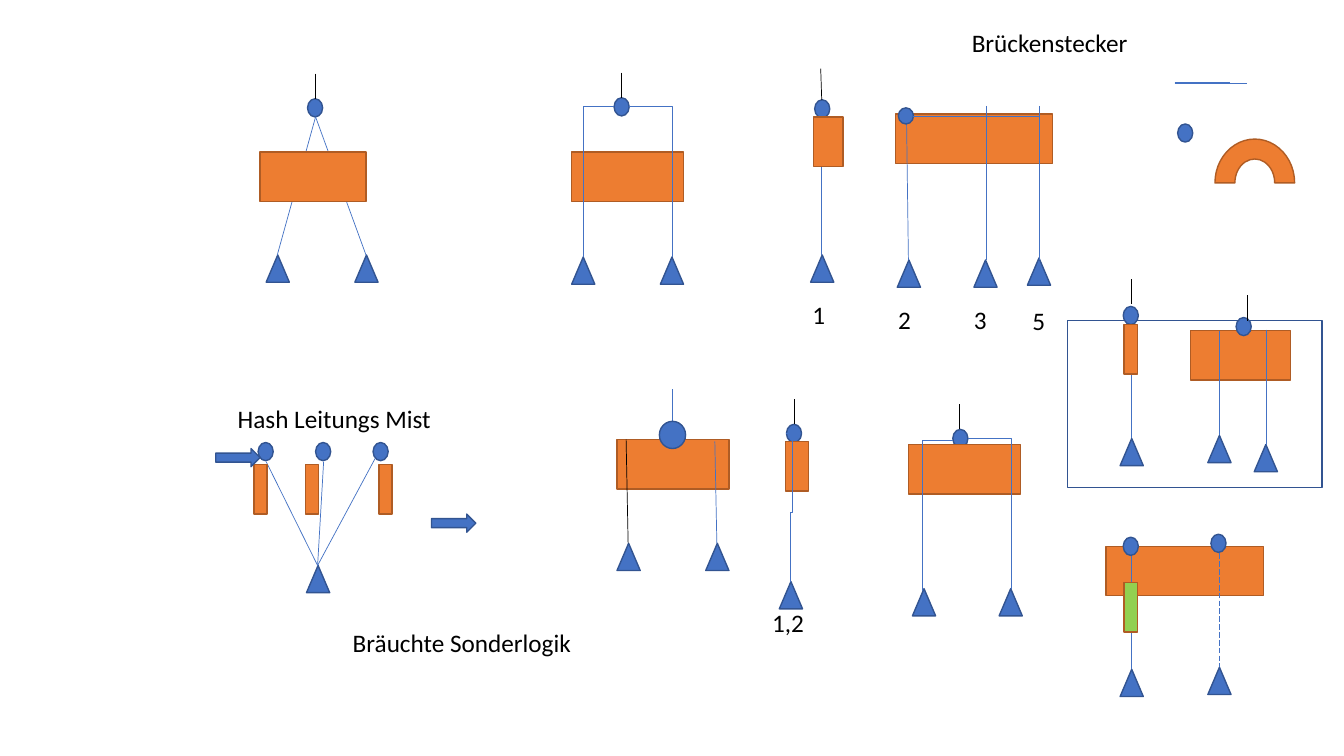
from lxml.etree import SubElement
from pptx import Presentation
from pptx.dml.color import RGBColor
from pptx.enum.dml import MSO_LINE
from pptx.enum.shapes import MSO_CONNECTOR, MSO_SHAPE
from pptx.enum.text import MSO_AUTO_SIZE
from pptx.oxml.ns import qn
from pptx.util import Emu, Pt

EMU_PER_PX = 9144
BLUE = RGBColor(0x44, 0x72, 0xC4)
DARK_BLUE = RGBColor(0x32, 0x54, 0x91)
ORANGE = RGBColor(0xED, 0x7D, 0x31)
DARK_ORANGE = RGBColor(0xAF, 0x5C, 0x24)
GREEN = RGBColor(0x92, 0xD0, 0x50)
BLACK = RGBColor(0, 0, 0)


def px(value):
    return Emu(value * EMU_PER_PX)


class Sketch:
    font_name = "Calibri"
    font_size = Pt(18)
    outline_width = Pt(1)
    wire_width = Pt(0.5)

    def __init__(self, slide):
        self.slide = slide

    def shape(self, kind, x, y, width, height, fill=BLUE, outline=DARK_BLUE):
        shape = self.slide.shapes.add_shape(kind, px(x), px(y), px(width), px(height))
        shape.shadow.inherit = False
        if fill is None:
            shape.fill.background()
        else:
            shape.fill.solid()
            shape.fill.fore_color.rgb = fill
        shape.line.color.rgb = outline
        shape.line.width = self.outline_width
        return shape

    def node(self, x, y, width=15, height=18):
        self.shape(MSO_SHAPE.OVAL, x, y, width, height)

    def load(self, x, y):
        self.shape(MSO_SHAPE.ISOSCELES_TRIANGLE, x, y, 23, 27)

    def block(self, x, y, width, fill=ORANGE):
        self.shape(MSO_SHAPE.RECTANGLE, x, y, width, 49, fill, DARK_ORANGE)

    def arrow(self, x, y):
        self.shape(MSO_SHAPE.RIGHT_ARROW, x, y, 44, 18)

    def wire(self, x1, y1, x2, y2, color=BLUE, kind=MSO_CONNECTOR.STRAIGHT, dash=None, tip=False):
        connector = self.slide.shapes.add_connector(kind, px(x1), px(y1), px(x2), px(y2))
        connector.line.color.rgb = color
        connector.line.width = self.wire_width
        if dash is not None:
            connector.line.dash_style = dash
        properties = connector._element.spPr
        if tip:
            SubElement(properties.find(qn("a:ln")), qn("a:tailEnd"), type="triangle")
        SubElement(properties, qn("a:effectLst"))
        return connector

    def bend(self, x1, y1, x2, y2, preset="bentConnector2", adjustments=()):
        connector = self.wire(x1, y1, x2, y2, kind=MSO_CONNECTOR.ELBOW)
        geometry = connector._element.spPr.find(qn("a:prstGeom"))
        geometry.set("prst", preset)
        guides = geometry.find(qn("a:avLst"))
        for number, value in enumerate(adjustments, 1):
            SubElement(guides, qn("a:gd"), name=f"adj{number}", fmla=f"val {value}")

    def hook(self, x, y):
        self.wire(x, y, x, y + 25, BLACK)

    def yoke(self, x, y, block, loads, left_drop):
        self.node(x, y)
        for load_x in loads:
            self.load(load_x, y + 158)
        self.hook(x + 7, y - 25)
        self.block(*block, 111)
        self.bend(x, y + left_drop, x - 30, y + left_drop + 149)
        self.bend(x + 15, y + 9, x + 58, y + 158)

    def label(self, text, x, y, width):
        box = self.slide.shapes.add_textbox(px(x), px(y), px(width), px(40))
        text_frame = box.text_frame
        text_frame.word_wrap = False
        text_frame.auto_size = MSO_AUTO_SIZE.SHAPE_TO_FIT_TEXT
        text_frame.text = text
        font = text_frame.paragraphs[0].runs[0].font
        font.name = self.font_name
        font.size = self.font_size
        font.color.rgb = BLACK


def draw_top_row(sketch):
    sketch.node(305, 98)
    sketch.hook(313, 73)
    for load_x, apex_x in ((264, 275), (352, 363)):
        sketch.load(load_x, 253)
        sketch.wire(313, 116, apex_x, 253)
    sketch.block(258, 151, 105)

    sketch.yoke(609, 97, (567, 151), (567, 655), 9)

    sketch.node(808, 99)
    sketch.load(804, 253)
    sketch.wire(815, 118, 815, 253)
    sketch.wire(815, 99, 814, 68, BLACK)
    sketch.block(807, 116, 29)


def draw_bridge(sketch):
    sketch.block(888, 113, 156)
    for load_x, load_y, top_x, top_y, apex_x in (
        (890, 258, 899, 109, 901),
        (966, 258, 978, 105, 978),
        (1019, 256, 1031, 105, 1031),
    ):
        sketch.load(load_x, load_y)
        sketch.wire(top_x, top_y, apex_x, 258)
    sketch.node(891, 107, height=16)
    sketch.wire(906, 115, 1031, 115)


def draw_parts(sketch):
    sketch.wire(1165, 83, 1237, 83)
    sketch.wire(1165, 82, 1220, 82)
    sketch.shape(MSO_SHAPE.BLOCK_ARC, 1205, 138, 79, 87, ORANGE, DARK_ORANGE)
    sketch.node(1168, 123)


def draw_bundle(sketch):
    for node_x in (256, 313, 370):
        sketch.node(node_x, 439)
    sketch.load(304, 561)
    for top_x, top_y in ((264, 458), (321, 458), (372, 455)):
        sketch.wire(315, 561, top_x, top_y)
    for block_x in (252, 303, 376):
        sketch.block(block_x, 461, 13)
    sketch.arrow(428, 510)
    sketch.arrow(214, 445)


def draw_bottom_row(sketch):
    for load_x in (612, 700):
        sketch.load(load_x, 539)
    sketch.block(612, 436, 111)
    sketch.wire(623, 539, 621, 436, BLACK)
    sketch.wire(711, 539, 709, 438)
    sketch.wire(667, 386, 667, 436, tip=True)
    sketch.node(654, 418, 26, 27)

    sketch.node(780, 421)
    sketch.load(773, 577)
    sketch.hook(788, 396)
    sketch.block(779, 438, 23)
    sketch.bend(780, 430, 784, 577, "bentConnector4", (144700, 53100))

    sketch.yoke(945, 426, (901, 441), (905, 991), 11)


def draw_framed_group(sketch):
    sketch.shape(MSO_SHAPE.RECTANGLE, 1059, 318, 252, 166, None)
    sketch.block(1181, 328, 99)
    sketch.node(1114, 304)
    for load_x, load_y, wire_x, top_y in (
        (1111, 435, 1122, 322),
        (1198, 432, 1209, 328),
        (1244, 441, 1256, 327),
    ):
        sketch.load(load_x, load_y)
        sketch.wire(wire_x, top_y, wire_x, load_y)
    sketch.block(1115, 322, 13)
    sketch.node(1226, 315)
    sketch.hook(1237, 293)
    sketch.hook(1122, 277)


def draw_dashed_group(sketch):
    sketch.block(1097, 542, 156)
    for left, node_y, load_y, dash in (
        (1111, 533, 664, None),
        (1198, 530, 662, MSO_LINE.LONG_DASH),
    ):
        sketch.node(left + 3, node_y)
        sketch.load(left, load_y)
        sketch.wire(left + 11, node_y + 19, left + 11, load_y, dash=dash)
    sketch.block(1115, 578, 13, GREEN)


def main():
    presentation = Presentation()
    presentation.slide_width = px(1333)
    presentation.slide_height = px(750)
    slide = presentation.slides.add_slide(presentation.slide_layouts[6])
    sketch = Sketch(slide)
    for draw in (
        draw_top_row, draw_bridge, draw_parts, draw_bundle,
        draw_bottom_row, draw_framed_group, draw_dashed_group,
    ):
        draw(sketch)
    for text, x, y, width in (
        ("Hash Leitungs Mist", 226, 395, 214),
        ("Brückenstecker", 954, 22, 176),
        ("Bräuchte Sonderlogik", 340, 617, 239),
        ("1", 796, 292, 33),
        ("2", 881, 297, 33),
        ("3", 956, 297, 33),
        ("5", 1014, 298, 33),
        ("1,2", 756, 598, 52),
    ):
        sketch.label(text, x, y, width)
    presentation.save("out.pptx")


if __name__ == "__main__":
    main()
